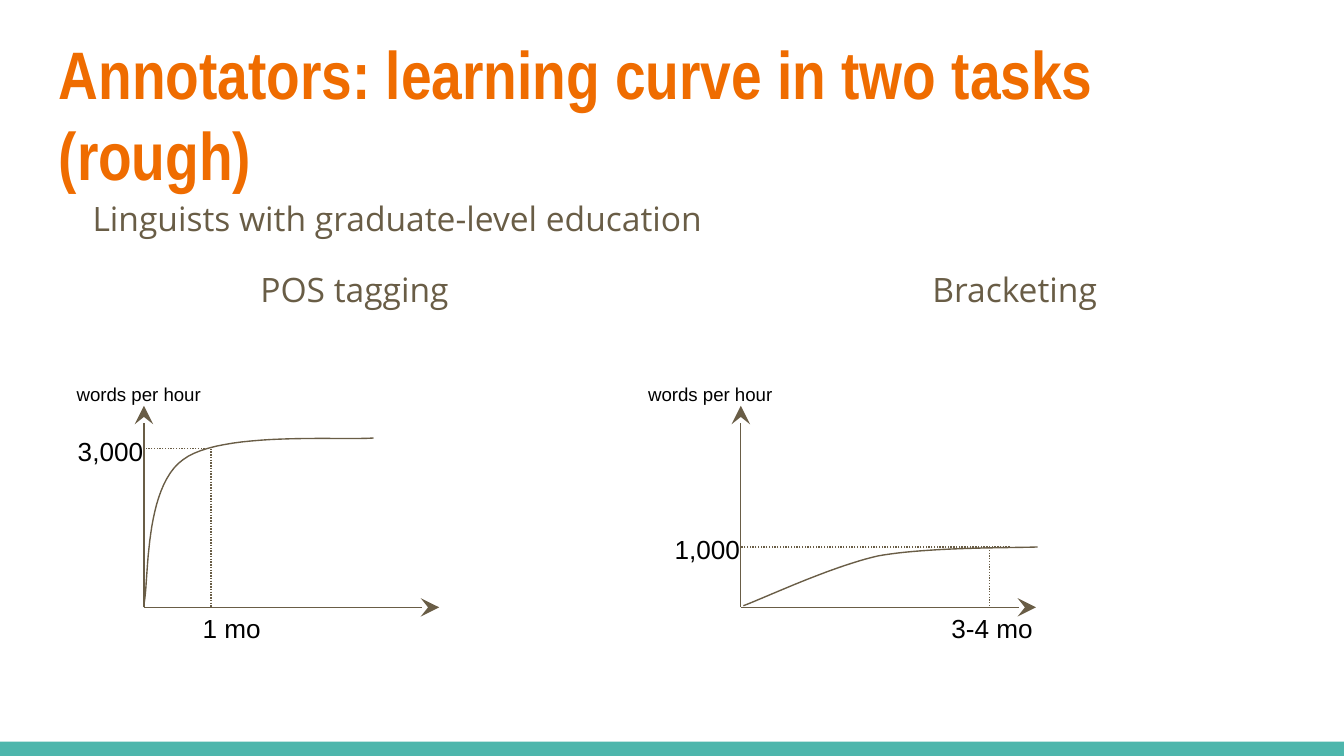
from dataclasses import dataclass

from lxml.etree import SubElement
from pptx import Presentation
from pptx.dml.color import RGBColor
from pptx.enum.dml import MSO_LINE_DASH_STYLE as Dash
from pptx.enum.shapes import MSO_CONNECTOR as Connector, MSO_SHAPE as Shape
from pptx.enum.text import MSO_ANCHOR as Anchor, MSO_AUTO_SIZE as AutoSize, PP_ALIGN as Align
from pptx.oxml.ns import qn
from pptx.util import Cm, Pt


@dataclass(frozen=True)
class Theme:
    """Colours, fonts and type sizes of the slide."""
    accent: str = "EF6C00"
    band: str = "4DB6AC"
    brown: str = "695D46"
    black: str = "000000"
    title_font: str = "Arial Narrow"
    body_font: str = "Open Sans"
    label_font: str = "Arial"
    title: int = 36
    body: int = 18
    label: int = 14
    caption: int = 10
    line: float = 0.75


T = Theme()


def write(p, text, font=T.label_font, size=T.label, color=T.black, bold=False):
    """Add a formatted run to a paragraph."""
    r = p.add_run()
    r.text = text
    f = r.font
    f.name, f.size, f.bold = font, Pt(size), bold
    f.color.rgb = RGBColor.from_string(color)


def frame(sp):
    """Give a shape's text frame even insets, wrapping and top anchoring."""
    tf = sp.text_frame
    tf.word_wrap = True
    tf.auto_size = AutoSize.NONE
    tf.vertical_anchor = Anchor.TOP
    tf.margin_left = tf.margin_right = tf.margin_top = tf.margin_bottom = Cm(0.25)
    return tf


def add_text(s, x, y, w, h, text, **fmt):
    """Place a one-paragraph text box."""
    tf = frame(s.shapes.add_textbox(Cm(x), Cm(y), Cm(w), Cm(h)))
    write(tf.paragraphs[0], text, **fmt)


def add_line(s, x1, y1, x2, y2, arrow=False):
    """Draw an axis with an arrowhead, or a dotted guide."""
    c = s.shapes.add_connector(Connector.STRAIGHT, Cm(x1), Cm(y1), Cm(x2), Cm(y2))
    c.line.width = Pt(T.line)
    c.line.color.rgb = RGBColor.from_string(T.brown)
    if arrow:
        ln = c.line._get_or_add_ln()
        SubElement(ln, qn("a:tailEnd"), type="stealth", w="lg", len="lg")
    else:
        c.line.dash_style = Dash.ROUND_DOT
    SubElement(c._element.spPr, qn("a:effectLst"))


def bezier(points, steps=24):
    """List the points along a chain of cubic curves."""
    path = [points[0]]
    for i in range(0, len(points) - 1, 3):
        a, b, c, d = points[i:i + 4]
        for n in range(1, steps + 1):
            t = n / steps
            u = 1 - t
            path.append(tuple(u**3 * a[k] + 3 * u * u * t * b[k] + 3 * u * t * t * c[k] + t**3 * d[k]
                              for k in (0, 1)))
    return path


def add_title(s, x, y, w, h, text):
    """Move and format the title placeholder."""
    sp = s.shapes.title
    sp.left, sp.top, sp.width, sp.height = Cm(x), Cm(y), Cm(w), Cm(h)
    p = frame(sp).paragraphs[0]
    p.alignment = Align.LEFT
    write(p, text, font=T.title_font, size=T.title, color=T.accent, bold=True)


def add_body(s, x, y, w, h, intro, headings, stops):
    """Place the intro line and the tabbed headings of both plots."""
    tf = frame(s.shapes.add_textbox(Cm(x), Cm(y), Cm(w), Cm(h)))
    first, second = tf.paragraphs[0], tf.add_paragraph()
    first._p.get_or_add_pPr().set("marL", str(Cm(0.64)))
    tabs = SubElement(second._p.get_or_add_pPr(), qn("a:tabLst"))
    for stop in stops:
        SubElement(tabs, qn("a:tab"), pos=str(Cm(stop)), algn="l")
    for p, text in ((first, intro), (second, "".join("\t" + t for t in headings))):
        p.space_after = Pt(16)
        write(p, text, font=T.body_font, size=T.body, color=T.brown)


def add_plot(s, x, y, w, h, curve, month, level, reach, rate, time, time_x, caption_x):
    """Sketch one learning curve with axes, guides and labels."""
    base = y + h
    add_line(s, x, base, x, y, arrow=True)
    add_line(s, x, base, x + w, base, arrow=True)
    points = [(Cm(x + a), Cm(base - b)) for a, b in bezier(curve)]
    fb = s.shapes.build_freeform(*points[0])
    fb.add_line_segments(points[1:], close=False)
    sp = fb.convert_to_shape()
    sp.shadow.inherit = False
    sp.fill.background()
    sp.line.width = Pt(T.line)
    sp.line.color.rgb = RGBColor.from_string(T.brown)
    add_line(s, x + month, base - level, x + month, base)
    add_line(s, x + reach, base - level, x, base - level)
    add_text(s, x + time_x, base - 0.15, 2.5, 1.47, time)
    add_text(s, x - 1.5, base - level - 0.5, 1.93, 1.47, rate)
    add_text(s, x + caption_x, y - 0.69, 4, 1.47, "words per hour", size=T.caption)


def add_band(s, x, y, w, h):
    """Draw the coloured band along the bottom edge."""
    sp = s.shapes.add_shape(Shape.RECTANGLE, Cm(x), Cm(y), Cm(w), Cm(h))
    sp.shadow.inherit = False
    sp.fill.solid()
    sp.fill.fore_color.rgb = RGBColor.from_string(T.band)
    sp.line.fill.background()


def main():
    """Build the slide and save it."""
    prs = Presentation()
    prs.slide_width, prs.slide_height = Cm(25.4), Cm(14.29)
    s = prs.slides.add_slide(prs.slide_layouts[5])
    add_band(s, 0, 14.02, 25.4, 0.27)
    add_title(s, 0.86, 0.36, 23.67, 1.96, "Annotators: learning curve in two tasks (rough)")
    add_body(s, 0.86, 3.5, 23.67, 9.17, "Linguists with graduate-level education",
             ("POS tagging", "Bracketing"), (3.81, 16.51))
    tagging = [(0, 0.05), (0.1, 0.51), (0, 2.26), (0.74, 2.79),
               (1.45, 3.33), (3.73, 3.15), (4.34, 3.2)]
    bracketing = [(0.05, 0.03), (0.46, 0.18), (1.68, 0.76), (2.59, 0.97),
                  (3.53, 1.14), (5.11, 1.12), (5.61, 1.14)]
    add_plot(s, 2.72, 7.67, 5.58, 3.81, tagging, month=1.27, level=3, reach=1.2,
             rate="3,000", time="1 mo", time_x=0.86, caption_x=-1.52)
    add_plot(s, 14, 7.67, 5.58, 3.81, bracketing, month=4.7, level=1.14, reach=5.08,
             rate="1,000", time="3-4 mo", time_x=3.73, caption_x=-2)
    prs.save("out.pptx")


if __name__ == "__main__":
    main()
